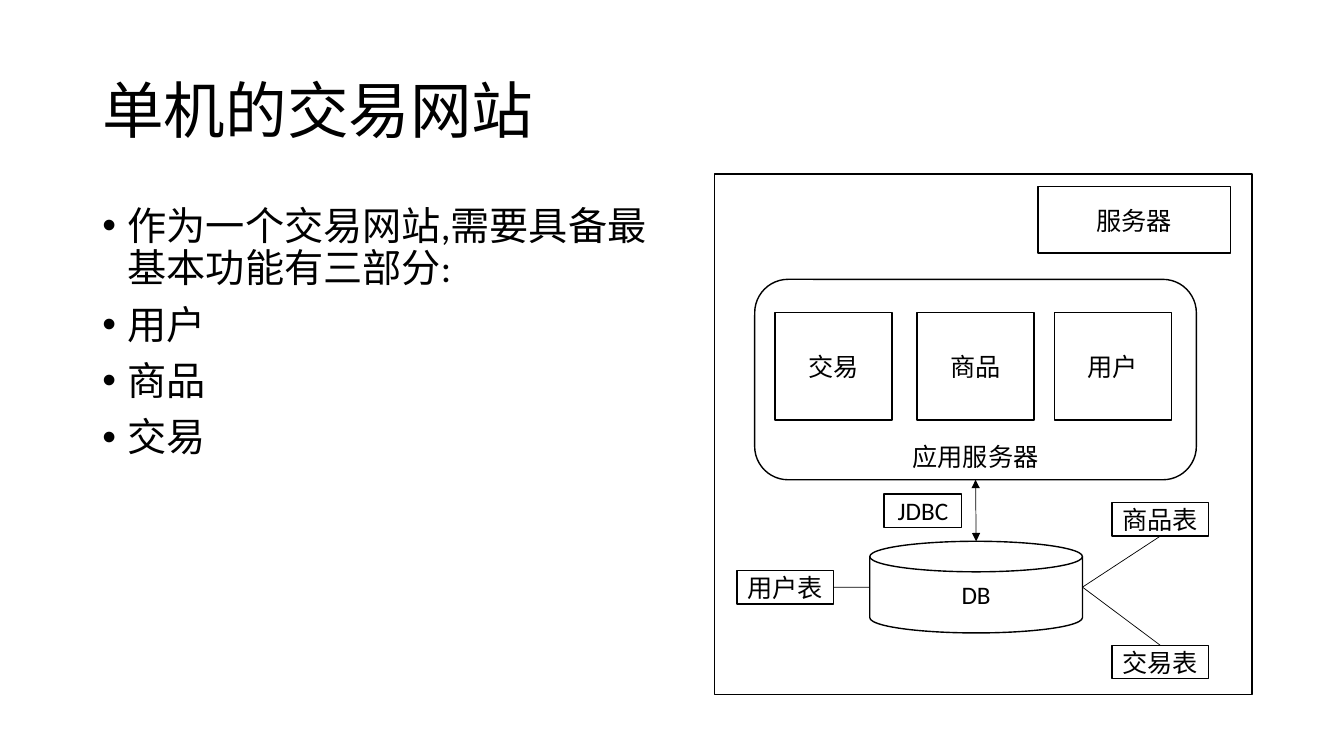
from lxml import etree
from pptx import Presentation
from pptx import util as u
from pptx.dml.color import RGBColor
from pptx.enum import shapes, text
from pptx.oxml.ns import qn

BLACK = RGBColor(0, 0, 0)
WHITE = RGBColor(255, 255, 255)
KIND = shapes.MSO_SHAPE
ANCHOR = text.MSO_ANCHOR


class Deck:
    font = "Calibri"

    def __init__(self, prs):
        self.slide = prs.slides.add_slide(prs.slide_layouts[6])

    def style(self, p, size):
        p.font.name, p.font.size = self.font, u.Pt(size)
        p.font.color.rgb = BLACK

    def textbox(self, box, lines, size, anchor=ANCHOR.TOP, bullet=None):
        sp = self.slide.shapes.add_textbox(*map(u.Cm, box))
        tf = sp.text_frame
        tf.word_wrap, tf.vertical_anchor = True, anchor
        tf.text = "\n".join(lines)
        for p in tf.paragraphs:
            self.style(p, size)
            p.line_spacing = 0.9
            if bullet:
                p.space_before = u.Pt(10)
                pPr = p._p.get_or_add_pPr()
                indent = u.Cm(0.64)
                pPr.set("marL", str(indent))
                pPr.set("indent", str(-indent))
                font = etree.Element(qn("a:buFont"), typeface="Arial")
                char = etree.Element(qn("a:buChar"), char=bullet)
                at = pPr.index(pPr.find(qn("a:defRPr")))
                pPr[at:at] = [font, char]

    def shape(self, box, label="", kind=KIND.RECTANGLE, fill=WHITE, top=0.13):
        sp = self.slide.shapes.add_shape(kind, *map(u.Cm, box))
        sp.shadow.inherit = False
        if fill is None:
            sp.fill.background()
        else:
            sp.fill.solid()
            sp.fill.fore_color.rgb = fill
        sp.line.color.rgb, sp.line.width = BLACK, u.Pt(1)
        if label:
            tf = sp.text_frame
            tf.word_wrap, tf.vertical_anchor = True, ANCHOR.MIDDLE
            tf.margin_top = u.Cm(top)
            tf.text = label
            p = tf.paragraphs[0]
            p.alignment = text.PP_ALIGN.CENTER
            self.style(p, 18)
        return sp

    def line(self, start, end, arrows=False):
        cx = self.slide.shapes.add_connector(shapes.MSO_CONNECTOR.STRAIGHT, *start, *end)
        cx.line.color.rgb, cx.line.width = BLACK, u.Pt(0.5)
        if arrows:
            ln = cx.line._get_or_add_ln()
            for tag in ("a:headEnd", "a:tailEnd"):
                etree.SubElement(ln, qn(tag), type="triangle")
        etree.SubElement(cx._element.spPr, qn("a:effectLst"))


def edge(sp, fx, fy):
    return int(sp.left + sp.width * fx), int(sp.top + sp.height * fy)


prs = Presentation()
prs.slide_width, prs.slide_height = u.Cm(33.87), u.Cm(19.05)
deck = Deck(prs)

deck.textbox((2.33, 1.02, 29.21, 3.68), ["单机的交易网站"], 44, ANCHOR.MIDDLE)
features = ["作为一个交易网站,需要具备最基本功能有三部分:".replace(",", ",").replace(":", ":"),
            "用户", "商品", "交易"]
deck.textbox((2.33, 5.08, 14.4, 12.09), features, 28, bullet="•")

deck.shape((18.01, 4.39, 13.54, 13.11), fill=None)
deck.shape((26.16, 4.7, 4.85, 1.68), "服务器")
app = deck.shape((19.02, 7.04, 11.13, 5.05), "应用服务器", KIND.ROUNDED_RECTANGLE, top=4)
for x, module in ((19.53, "交易"), (23.11, "商品"), (26.57, "用户")):
    deck.shape((x, 7.87, 2.95, 2.72), module)

db = deck.shape((21.92, 13.64, 5.36, 2.31), "DB", KIND.FLOWCHART_MAGNETIC_DISK)
deck.line(edge(app, 0.5, 1), edge(db, 0.5, 0), arrows=True)
deck.shape((22.28, 12.45, 1.96, 0.84), "JDBC")

tables = (
    (28.02, 12.67, "商品表", (1, 0.5), (0.5, 1)),
    (28.02, 16.26, "交易表", (1, 0.5), (0.5, 0)),
    (18.57, 14.38, "用户表", (0, 0.5), (1, 0.5)),
)
for x, y, name, db_side, table_side in tables:
    table = deck.shape((x, y, 2.44, 0.84), name)
    deck.line(edge(db, *db_side), edge(table, *table_side))

prs.save("out.pptx")
